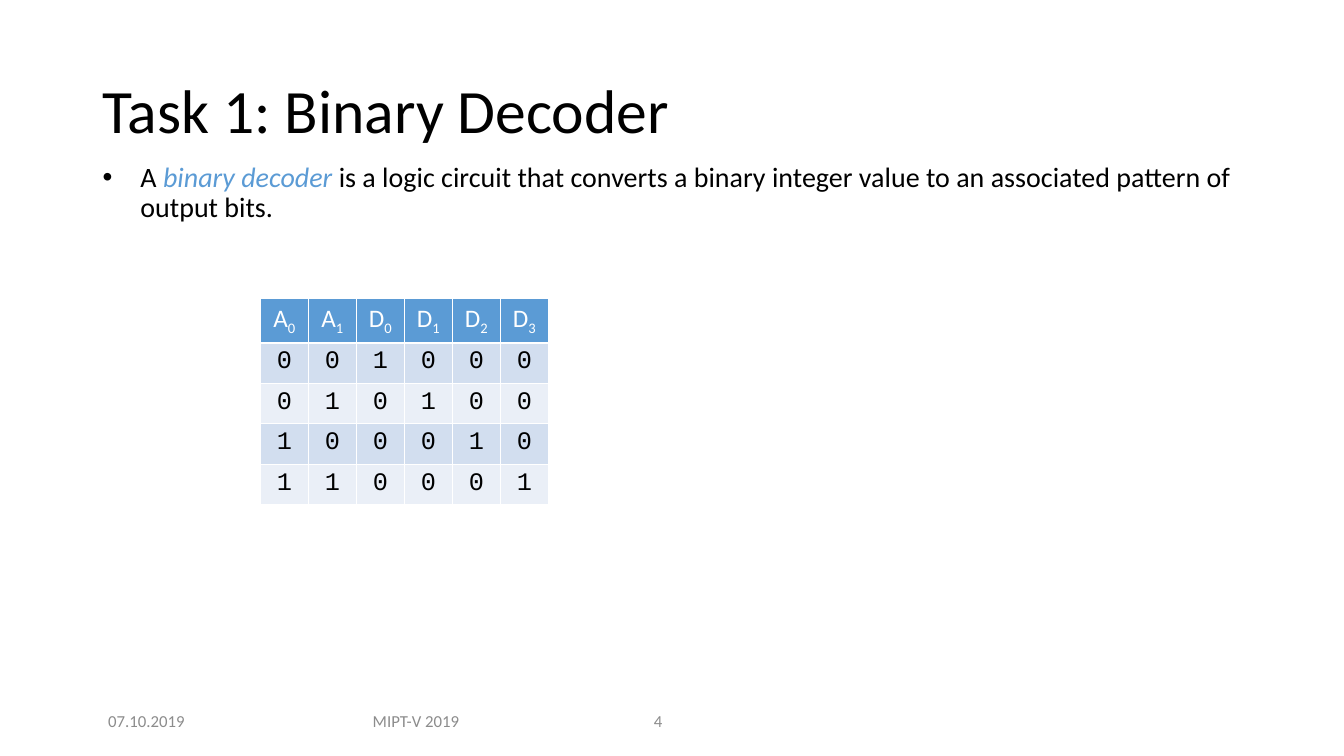
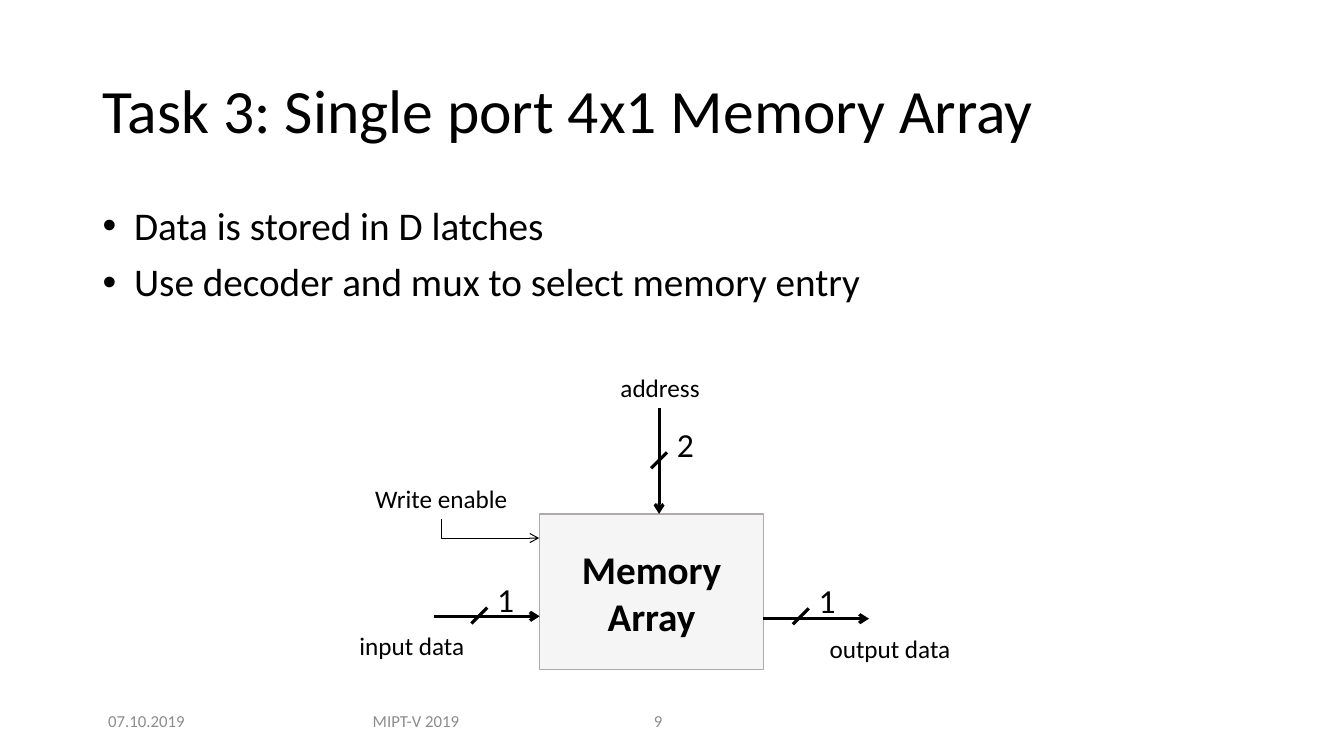
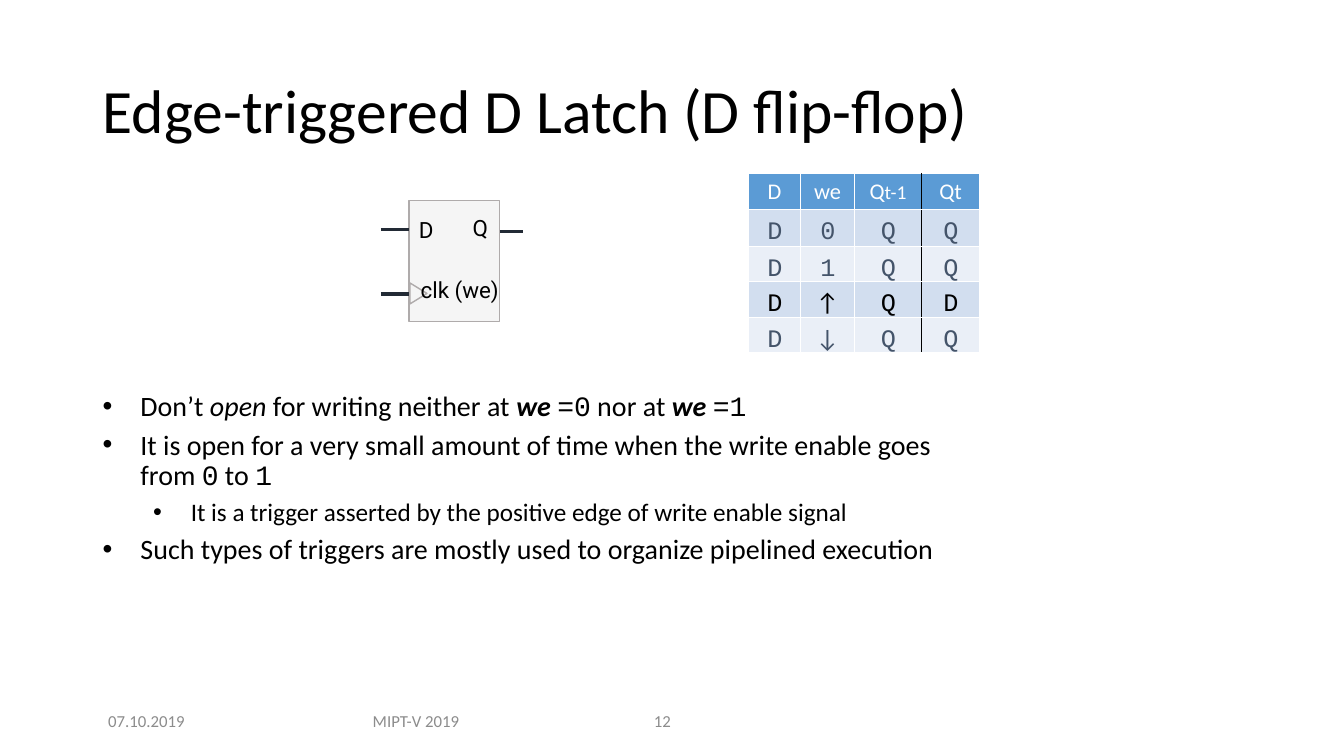
from itertools import accumulate

from lxml.etree import SubElement
from pptx import Presentation
from pptx.dml.color import RGBColor
from pptx.enum.shapes import MSO_CONNECTOR as Link, MSO_SHAPE as Preset
from pptx.enum.text import MSO_ANCHOR as Anchor, PP_ALIGN as Align
from pptx.oxml.ns import qn
from pptx.util import Cm, Pt

COLORS = {
    "text": "000000", "white": "FFFFFF", "accent": "5B9BD5", "muted": "8C8C8C",
    "band_dark": "D2DEEF", "band_light": "EAEFF7", "block": "F5F5F5",
    "outline": "AFABAB", "pin": "222A35", "dim": "44546A",
}
SANS, MONO, LABEL = "Calibri", "Courier New", "Roboto"

TITLE_AREA = (2.34, 1.02, 29.21, 3.68)
CORNER_BAND = (20.8, 16.69, 13.07, 2.36)
FOOTER_TOP, FOOTER_HEIGHT = 17.65, 1.02
DATE, COURSE = "07.10.2019", "MIPT-V 2019"

ITALIC = {"italic": True}
STRONG = {"bold": True, "italic": True}
CODE = {"font": MONO}
SUBSCRIPT = {"baseline": -25000}

DECODER_TEXT = [[
    "A ", ("binary decoder", {"italic": True, "color": "accent"}),
    " is a logic circuit that converts a binary integer value to an associated pattern of output bits.",
]]
DECODER_HEADS = ["A0", "A1", "D0", "D1", "D2", "D3"]
DECODER_ROWS = ["001000", "010100", "100010", "110001"]

MEMORY_TEXT = ["Data is stored in D latches", "Use decoder and mux to select memory entry"]
MEMORY_BLOCK = (13.6, 12.95, 5.64, 3.93)
BUSES = [
    {"start": (16.61, 10.29), "end": (16.61, 12.95), "slash": (16.61, 11.6), "bits": "2"},
    {"start": (10.93, 15.53), "end": (13.6, 15.53), "slash": (12.08, 15.51), "bits": "1"},
    {"start": (19.24, 15.59), "end": (21.9, 15.59), "slash": (20.18, 15.53), "bits": "1"},
]
SIGNALS = [
    ("address", 15.38, 9.25, 2.51),
    ("input data", 8.74, 15.77, 3.28),
    ("output data", 20.65, 15.84, 3.56),
    ("Write enable", 9.15, 12.05, 3.94),
]

FLIPFLOP_TEXT = [
    ["Don’t ", ("open", ITALIC), " for writing neither at ", ("we ", STRONG), ("=0", CODE),
     " nor at ", ("we ", STRONG), ("=1", CODE)],
    ["It is open for a very small amount of time when the write enable goes from ",
     ("0", CODE), " to ", ("1", CODE)],
    {"spans": ["It is a trigger asserted by the positive edge of write enable signal"],
     "level": 1, "indent": 2.22, "size": 18},
    "Such types of triggers are mostly used to organize pipelined execution",
]
LATCH_BLOCK = (10.31, 5.05, 2.28, 3.05)
CLOCK_MARK = (10.28, 7.18, 0.53, 0.43)
PINS = [(12.6, 13.19, 5.83), (9.6, 10.31, 7.41), (9.6, 10.31, 5.79)]
PIN_LABELS = [
    ("D", (10.31, 5.31, 0.91, 0.94), Align.LEFT),
    ("Q", (11.66, 5.28, 0.97, 0.94), Align.LEFT),
    ("clk (we)", (10.31, 6.83, 2.51, 0.94), Align.RIGHT),
]
STATE_HEADS = ["D", "we", ["Q", ("t-1", {"size": 14})], "Qt"]
STATE_ROWS = [("D0QQ", "dim"), ("D1QQ", "dim"), ("D↑QD", "text"), ("D↓QQ", "dim")]
STATE_LEFT, STATE_TOP = 18.87, 4.37
STATE_WIDTHS = [1.3, 1.37, 1.68, 1.47]
STATE_HEIGHTS = [0.91, 0.93, 0.88, 0.91, 0.88]


def color_of(name):
    return RGBColor.from_string(COLORS[name])


def format_span(span, size, color="text", font=SANS, bold=False, italic=False, baseline=None):
    span.font.size = Pt(size)
    span.font.name = font
    span.font.bold = bold
    span.font.italic = italic
    span.font.color.rgb = color_of(color)
    if baseline:
        span._r.get_or_add_rPr().set("baseline", str(baseline))


def write_text(frame, text, align=Align.LEFT, spacing=None, before=0, indent=None,
               hanging=0, **style):
    paragraphs = [text] if isinstance(text, str) else text
    for index, item in enumerate(paragraphs):
        entry = dict(item) if isinstance(item, dict) else {"spans": item}
        spans = entry.pop("spans")
        para = frame.add_paragraph() if index else frame.paragraphs[0]
        para.alignment = align
        para.level = entry.pop("level", 0)
        left = entry.pop("indent", indent)
        if spacing:
            para.line_spacing = spacing
        if index and before:
            para.space_before = Pt(before)
        if left:
            props = para._p.get_or_add_pPr()
            props.set("marL", str(Cm(left)))
            props.set("indent", str(-Cm(hanging)))
            SubElement(props, qn("a:buFont")).set("typeface", "Arial")
            SubElement(props, qn("a:buChar")).set("char", "•")
        for part in [spans] if isinstance(spans, str) else spans:
            words, extra = (part, {}) if isinstance(part, str) else part
            span = para.add_run()
            span.text = words
            format_span(span, **{**style, **entry, **extra})


def add_text(slide, area, text, anchor=Anchor.TOP, wrap=True, **style):
    box = slide.shapes.add_textbox(*map(Cm, area))
    box.text_frame.word_wrap = wrap
    box.text_frame.vertical_anchor = anchor
    write_text(box.text_frame, text, **style)


def add_body(slide, area, text, size, before, indent):
    add_text(slide, area, text, size=size, spacing=0.9, before=before,
             indent=indent, hanging=indent)


def add_block(slide, preset, area, fill="block", outline="outline"):
    block = slide.shapes.add_shape(preset, *map(Cm, area))
    block.shadow.inherit = False
    block.fill.solid()
    block.fill.fore_color.rgb = color_of(fill)
    if outline:
        block.line.color.rgb = color_of(outline)
        block.line.width = Pt(1)
    else:
        block.line.fill.background()
    return block


def add_line(slide, start, end, color="text", width=2.25, arrow=None, kind=Link.STRAIGHT):
    line = slide.shapes.add_connector(kind, *map(Cm, start + end))
    line.line.color.rgb = color_of(color)
    line.line.width = Pt(width)
    props = line.element.spPr
    if arrow:
        SubElement(props.find(qn("a:ln")), qn(f"a:{arrow}")).set("type", "arrow")
    SubElement(props, qn("a:effectLst"))
    return line


def add_border(cell, side, color="white"):
    border = SubElement(cell._tc.get_or_add_tcPr(), qn(f"a:ln{side}"), w=str(Pt(1)))
    fill = SubElement(border, qn("a:solidFill"))
    SubElement(fill, qn("a:srgbClr")).set("val", COLORS[color])


def add_grid(slide, left, top, widths, heights, divider=None):
    shape = slide.shapes.add_table(len(heights), len(widths), Cm(left), Cm(top),
                                   Cm(sum(widths)), Cm(sum(heights)))
    table = shape.table
    for column, width in zip(table.columns, widths):
        column.width = Cm(width)
    for row_index, (row, height) in enumerate(zip(table.rows, heights)):
        row.height = Cm(height)
        band = "band_dark" if row_index % 2 else "band_light"
        for column_index, cell in enumerate(row.cells):
            add_border(cell, "L", "text" if column_index == divider else "white")
            add_border(cell, "R", "text" if column_index + 1 == divider else "white")
            add_border(cell, "T")
            add_border(cell, "B")
            cell.fill.solid()
            cell.fill.fore_color.rgb = color_of(band if row_index else "accent")
    return table


def add_page(deck, title, number):
    page = deck.slides.add_slide(deck.slide_layouts[6])
    band = add_block(page, Preset.RECTANGLE, CORNER_BAND, fill="white", outline=None)
    tint = band.element.spPr.find(qn("a:solidFill")).find(qn("a:srgbClr"))
    SubElement(tint, qn("a:alpha")).set("val", "83000")
    add_text(page, TITLE_AREA, title, anchor=Anchor.MIDDLE, size=44, spacing=0.9)
    footers = [(DATE, 2.33, 2.72, Align.CENTER), (COURSE, 8.48, 4.01, Align.CENTER),
               (number, 16.23, 2.01, Align.LEFT)]
    for text, left, width, align in footers:
        add_text(page, (left, FOOTER_TOP, width, FOOTER_HEIGHT), text,
                 anchor=Anchor.MIDDLE, align=align, size=12, color="muted")
    return page


def build_decoder(deck):
    page = add_page(deck, "Task 1: Binary Decoder", "4")
    add_body(page, (2.34, 3.99, 29.21, 2.74), DECODER_TEXT, size=20, before=10, indent=0.95)
    table = add_grid(page, 6.56, 7.52, [1.21] * 6, [1.02] * 5)
    for column, (letter, digit) in enumerate(DECODER_HEADS):
        write_text(table.cell(0, column).text_frame, [[letter, (digit, SUBSCRIPT)]],
                   align=Align.CENTER, size=18, color="white")
    for row, bits in enumerate(DECODER_ROWS, 1):
        for column, bit in enumerate(bits):
            write_text(table.cell(row, column).text_frame, bit,
                       align=Align.CENTER, size=18, font=MONO)


def build_memory(deck):
    page = add_page(deck, "Task 3: Single port 4x1 Memory Array", "9")
    add_body(page, (2.34, 5.08, 29.21, 11.48), MEMORY_TEXT, size=28, before=10, indent=0.79)
    block = add_block(page, Preset.RECTANGLE, MEMORY_BLOCK)
    block.text_frame.word_wrap = False
    block.text_frame.vertical_anchor = Anchor.MIDDLE
    write_text(block.text_frame, ["Memory", "Array"], align=Align.CENTER, size=28, bold=True)
    for bus in BUSES:
        x, y = bus["slash"]
        add_line(page, bus["start"], bus["end"], arrow="tailEnd")
        add_line(page, (x - 0.2, y + 0.2), (x + 0.2, y - 0.2))
        add_text(page, (x + 0.2, y - 1.04, 0.94, 1.27), bus["bits"], wrap=False, size=24)
    for text, left, top, width in SIGNALS:
        add_text(page, (left, top, width, 1.02), text, wrap=False, align=Align.CENTER, size=18)
    enable = add_line(page, (13.59, 13.56), (11.13, 13.08), width=0.75,
                      arrow="headEnd", kind=Link.ELBOW)
    enable.element.spPr.find(qn("a:prstGeom")).set("prst", "bentConnector2")


def build_flipflop(deck):
    page = add_page(deck, "Edge-triggered D Latch (D flip-flop)", "12")
    add_body(page, (2.34, 9.76, 21.72, 7.16), FLIPFLOP_TEXT, size=20, before=6, indent=0.95)

    add_block(page, Preset.RECTANGLE, LATCH_BLOCK)
    add_block(page, Preset.ISOSCELES_TRIANGLE, CLOCK_MARK).rotation = 90
    for start, end, y in PINS:
        add_line(page, (start, y), (end, y), color="pin")
    for text, area, align in PIN_LABELS:
        add_text(page, area, text, wrap=align == Align.RIGHT, align=align, size=16, font=LABEL)

    table = add_grid(page, STATE_LEFT, STATE_TOP, STATE_WIDTHS, STATE_HEIGHTS, divider=3)
    for cell in table.iter_cells():
        cell.margin_top = cell.margin_bottom = 0
        cell.vertical_anchor = Anchor.MIDDLE
    for column, head in enumerate(STATE_HEADS):
        write_text(table.cell(0, column).text_frame, [head],
                   align=Align.CENTER, size=16, color="white")
    lefts = list(accumulate(STATE_WIDTHS, initial=STATE_LEFT))
    tops = list(accumulate(STATE_HEIGHTS, initial=STATE_TOP))
    for top, (values, color) in zip(tops[1:], STATE_ROWS):
        for left, width, value in zip(lefts, STATE_WIDTHS, values):
            box_width, font = (1.09, SANS) if value in "↑↓" else (0.86, MONO)
            add_text(page, (left + (width - box_width) / 2, top, box_width, 1.02), value,
                     wrap=False, align=Align.CENTER, size=18, font=font, color=color)


def main():
    deck = Presentation()
    deck.slide_width, deck.slide_height = Cm(33.87), Cm(19.05)
    build_decoder(deck)
    build_memory(deck)
    build_flipflop(deck)
    deck.save("out.pptx")


if __name__ == "__main__":
    main()
